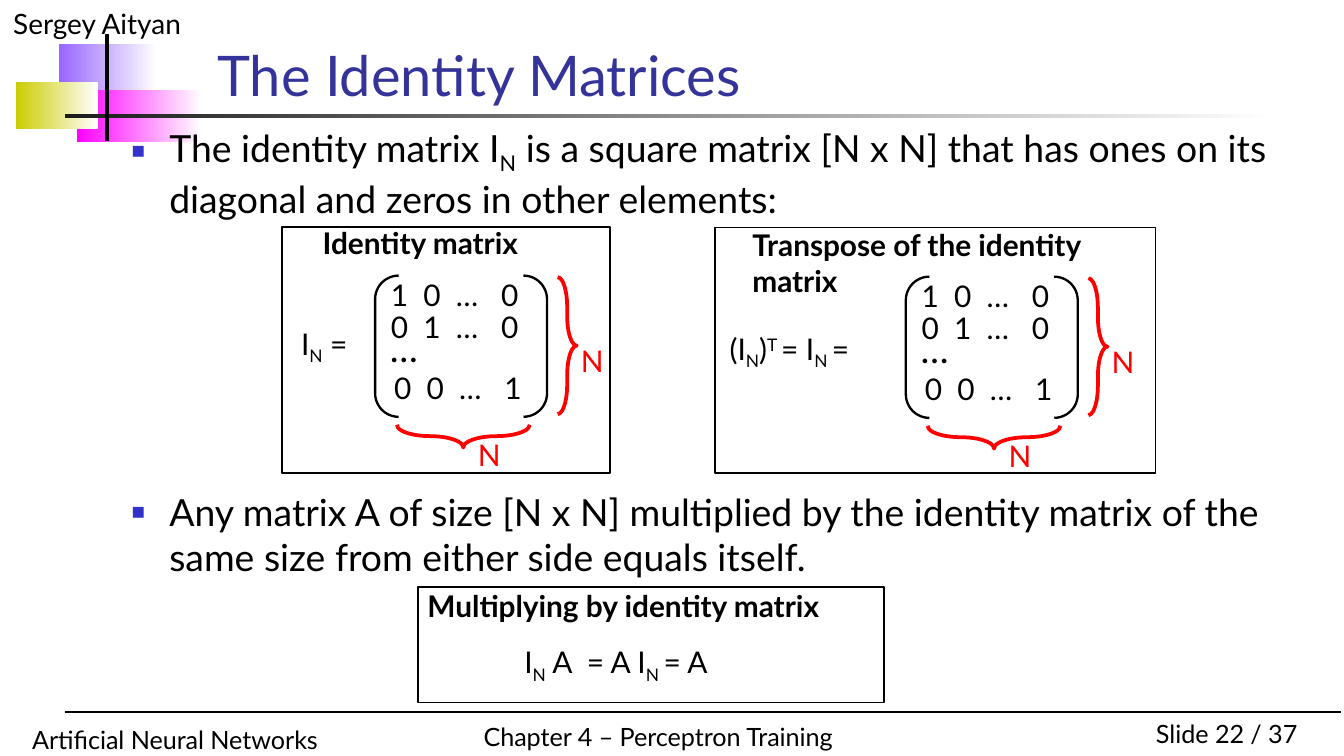
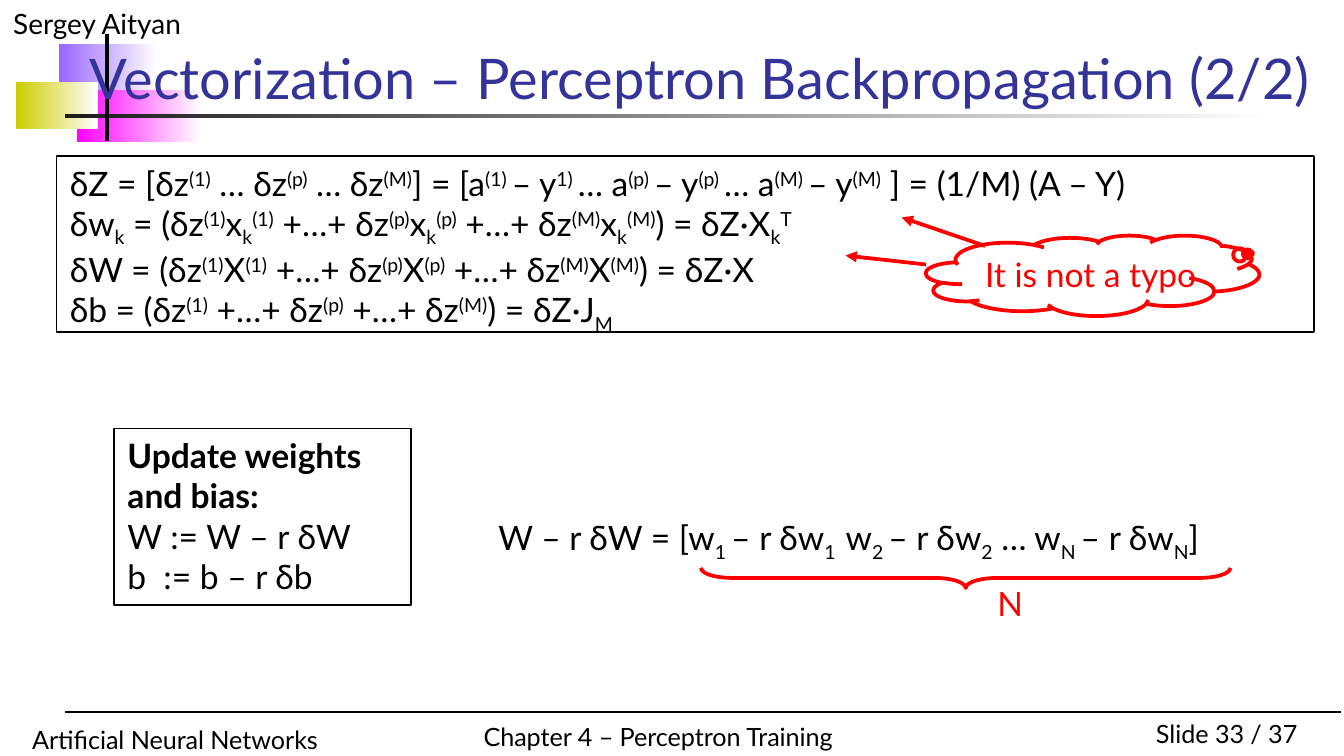
import pptx
import pptx.util
import pptx.dml.color
import pptx.enum.shapes
import pptx.enum.text
import pptx.oxml.ns
import lxml.etree

Cm = pptx.util.Cm
Pt = pptx.util.Pt
RGBColor = pptx.dml.color.RGBColor
Kind = pptx.enum.shapes.MSO_SHAPE
Align = pptx.enum.text.PP_ALIGN
Anchor = pptx.enum.text.MSO_ANCHOR
qn = pptx.oxml.ns.qn

BLACK = RGBColor(0x00, 0x00, 0x00)
WHITE = RGBColor(0xFF, 0xFF, 0xFF)
RED = RGBColor(0xFF, 0x00, 0x00)
NAVY = RGBColor(0x33, 0x33, 0x99)
BLUE = RGBColor(0x33, 0x33, 0xCC)
VIOLET = RGBColor(0x99, 0x66, 0xFF)
PINK = RGBColor(0xFF, 0x00, 0xFF)
OLIVE = RGBColor(0xCC, 0xCC, 0x00)
COAL = RGBColor(0x1C, 0x1C, 0x1C)

FONT = "Lato"
BASE = {"_": "-25000", "^": "30000"}


class Deck:
    def __init__(self):
        self.file = pptx.Presentation()
        self.file.slide_width = Cm(25.4)
        self.file.slide_height = Cm(14.29)
        self.slide = None

    # Text: {_x} marks a subscript and {^x} a superscript
    def letter(self, frame, text, size, color=BLACK, bold=False, align=Align.LEFT):
        frame.text = text
        for par in frame.paragraphs:
            first, *parts = par.text.split("{")
            par.text = first
            par.alignment = align
            for part in parts:
                mark, rest = part.split("}")
                run = par.add_run()
                run.text = mark[1:]
                run.font._element.set("baseline", BASE[mark[0]])
                if rest:
                    par.add_run().text = rest
            for run in par.runs:
                run.font.name = FONT
                run.font.size = Pt(size)
                run.font.bold = bold
                run.font.color.rgb = color

    def text(self, x, y, w, h, text, size, color=BLACK, bold=False,
             align=Align.LEFT, tight=False, wrap=True):
        box = self.slide.shapes.add_textbox(Cm(x), Cm(y), Cm(w), Cm(h))
        frame = box.text_frame
        frame.word_wrap = wrap
        if tight:
            frame.margin_left = frame.margin_right = 0
            frame.margin_top = frame.margin_bottom = 0
        self.letter(frame, text, size, color, bold, align)
        return frame

    def label(self, x, y, w, text, size=16, **style):
        return self.text(x, y, w, 0.69, text, size, tight=True, **style)

    def shape(self, kind, x, y, w, h, color=BLACK, width=1.0):
        shape = self.slide.shapes.add_shape(kind, Cm(x), Cm(y), Cm(w), Cm(h))
        shape.shadow.inherit = False
        shape.fill.background()
        shape.line.color.rgb = color
        shape.line.width = Pt(width)
        shape.text_frame.vertical_anchor = Anchor.TOP
        return shape

    def frame(self, x, y, w, h):
        return self.shape(Kind.RECTANGLE, x, y, w, h)

    def fade(self, x, y, w, h, color):
        shape = self.frame(x, y, w, h)
        shape.line.fill.background()
        shape.fill.gradient()
        shape.fill.gradient_angle = 0
        for stop, tone, place in zip(shape.fill.gradient_stops, (color, WHITE), (0, 1)):
            stop.color.rgb = tone
            stop.position = place

    def brace(self, x, y, w, h, turn=0):
        shape = self.shape(Kind.RIGHT_BRACE, x, y, w, h, RED, 2)
        shape.adjustments[0] = 1.559
        shape.rotation = turn

    def line(self, x1, y1, x2, y2, color=BLACK, width=2.0, arrow=False):
        line = self.slide.shapes.add_connector(
            pptx.enum.shapes.MSO_CONNECTOR.STRAIGHT, Cm(x1), Cm(y1), Cm(x2), Cm(y2))
        line.line.color.rgb = color
        line.line.width = Pt(width)
        if arrow:
            tip = lxml.etree.SubElement(line.line._get_or_add_ln(), qn("a:tailEnd"))
            tip.set("type", "triangle")
        lxml.etree.SubElement(line._element.spPr, qn("a:effectLst"))

    def bullet(self, par):
        props = par._p.get_or_add_pPr()
        props.set("marL", str(Cm(0.71)))
        props.set("indent", str(-Cm(0.71)))
        tone = lxml.etree.SubElement(props, qn("a:buClr"))
        lxml.etree.SubElement(tone, qn("a:srgbClr")).set("val", str(BLUE))
        lxml.etree.SubElement(props, qn("a:buSzPct")).set("val", "60000")
        lxml.etree.SubElement(props, qn("a:buFont")).set("typeface", "Arial")
        lxml.etree.SubElement(props, qn("a:buChar")).set("char", "■")

    # Shared look of every slide
    def start(self, page, title, x, y, w):
        self.slide = self.file.slides.add_slide(self.file.slide_layouts[6])
        self.fade(1.12, 0.84, 1.85, 0.99, VIOLET)
        self.fade(1.45, 1.7, 2.36, 0.99, PINK)
        self.fade(0.3, 1.55, 1.55, 0.89, OLIVE)
        self.fade(1.22, 2.16, 22.86, 0.08, COAL)
        self.text(0, 0, 6.35, 0.89, "Sergey Aityan", 15)
        self.text(20.96, 13.46, 3.81, 0.84, f"Slide {page} / 37", 13.5, align=Align.RIGHT)
        self.text(0.36, 13.56, 9.4, 0.84, "Artificial Neural Networks", 13.5)
        self.text(8.89, 13.51, 7.26, 0.84, "Chapter 4 – Perceptron Training", 13.5, wrap=False)
        self.line(1.22, 13.46, 25.35, 13.46, width=0.75)
        self.line(2.03, 0.64, 2.03, 2.67)
        head = self.text(x, y, w, 1.37, title, 30, NAVY)
        head.vertical_anchor = Anchor.BOTTOM

    # Identity matrix in brackets, with its top left corner at x, y
    def matrix(self, x, y):
        self.shape(Kind.DOUBLE_BRACKET, x, y, 3.25, 2.67, width=1.25)
        rows = ((0.3, 0.02, "1  0  …   0", 16), (0.3, 0.63, "0  1  …   0", 16),
                (0.28, 0.94, "…", 20), (0.36, 1.78, "0  0  …   1", 16))
        for left, top, row, size in rows:
            self.label(x + left, y + top, 2.9, row, size)
        self.brace(x + 1.45, y + 1.78, 0.43, 2.51, turn=90)
        self.brace(x + 3.45, y + 0.03, 0.36, 2.59)
        for left, top in ((1.73, 3.05), (3.68, 1.27)):
            self.label(x + left, y + top, 0.64, "N", color=RED, align=Align.RIGHT)


def main():
    deck = Deck()

    # Slide 22: bullets
    deck.start(22, "The Identity Matrices", 3.86, 0.79, 18.67)
    body = deck.text(
        2.24, 2.24, 22.33, 0.69,
        "The identity matrix I{_N} is a square matrix [N x N] that has ones on its "
        "diagonal and zeros in other elements:\n"
        "Any matrix A of size [N x N] multiplied by the identity matrix of the "
        "same size from either side equals itself.", 20)
    body.paragraphs[1].space_before = Pt(144)
    for par in body.paragraphs:
        deck.bullet(par)

    # Product panel
    deck.frame(7.9, 11.1, 8.81, 2.18)
    deck.label(8.08, 11.1, 9.17, "Multiplying by identity matrix", bold=True)
    deck.label(9.91, 12.17, 6.17, "I{_N} A  = A I{_N }= A")

    # Matrix panels
    deck.frame(5.33, 4.29, 6.2, 4.65)
    deck.label(6.1, 4.24, 4.67, "Identity matrix", bold=True)
    deck.label(5.69, 6.15, 1.35, "I{_N} =")
    deck.matrix(7.09, 5.21)

    deck.frame(13.51, 4.3, 8.33, 4.65)
    deck.label(14.22, 4.29, 7.59, "Transpose of the identity matrix", bold=True)
    deck.label(13.79, 6.25, 4.04, "(I{_N}){^T }= I{_N }=")
    deck.matrix(17.12, 5.23)

    # Slide 33: gradients
    deck.start(33, "Vectorization – Perceptron Backpropagation (2/2)", 1.45, 0.84, 23.77)
    rules = deck.frame(1.07, 2.95, 23.77, 3.33)
    deck.letter(rules.text_frame, "\n".join((
        "δZ = [δz{^(1)} … δz{^(p)} … δz{^(M)}] = [a{^(1) }– y{^1) }… a{^(p) }– y{^(p) }"
        "… a{^(M) }– y{^(M)} ] = (1/M) (A – Y)",
        "δw{_k} = (δz{^(1)}x{_k}{^(1)} +…+ δz{^(p)}x{_k}{^(p)} +…+ "
        "δz{^(M)}x{_k}{^(M)}) = δZ·X{_k}{^T}",
        "δW = (δz{^(1)}X{^(1)} +…+ δz{^(p)}X{^(p)} +…+ δz{^(M)}X{^(M)}) = δZ·X",
        "δb = (δz{^(1)} +…+ δz{^(p)} +…+ δz{^(M)}) = δZ·J{_M}")), 18)

    # Update rule
    update = deck.frame(2.16, 8.1, 5.61, 3.33).text_frame
    deck.letter(update, "Update weights \vand bias:\nW := W – r δW\nb  := b – r δb", 18)
    for run in update.paragraphs[0].runs:
        run.font.bold = True

    # Weight vector
    deck.label(9.42, 9.78, 15.98, "W – r δW = [w{_1 }– r δw{_1  }w{_2 }– r δw{_2} … "
               "w{_N }– r δw{_N}]", 18)
    deck.label(18.85, 11.02, 0.97, "N", 18, color=RED)
    deck.brace(18.06, 5.92, 0.38, 10.01, turn=90)

    # Remark with arrows
    cloud = deck.shape(Kind.CLOUD_CALLOUT, 17.5, 4.45, 6.3, 1.52, RED, 2)
    cloud.adjustments[0] = 0.474
    cloud.adjustments[1] = -0.276
    cloud.text_frame.word_wrap = False
    deck.letter(cloud.text_frame, "It is not a typo", 18, RED)
    deck.line(18.62, 4.65, 17.04, 4.11, RED, arrow=True)
    deck.line(17.5, 5, 15.98, 4.83, RED, arrow=True)

    deck.file.save("out.pptx")


if __name__ == "__main__":
    main()
